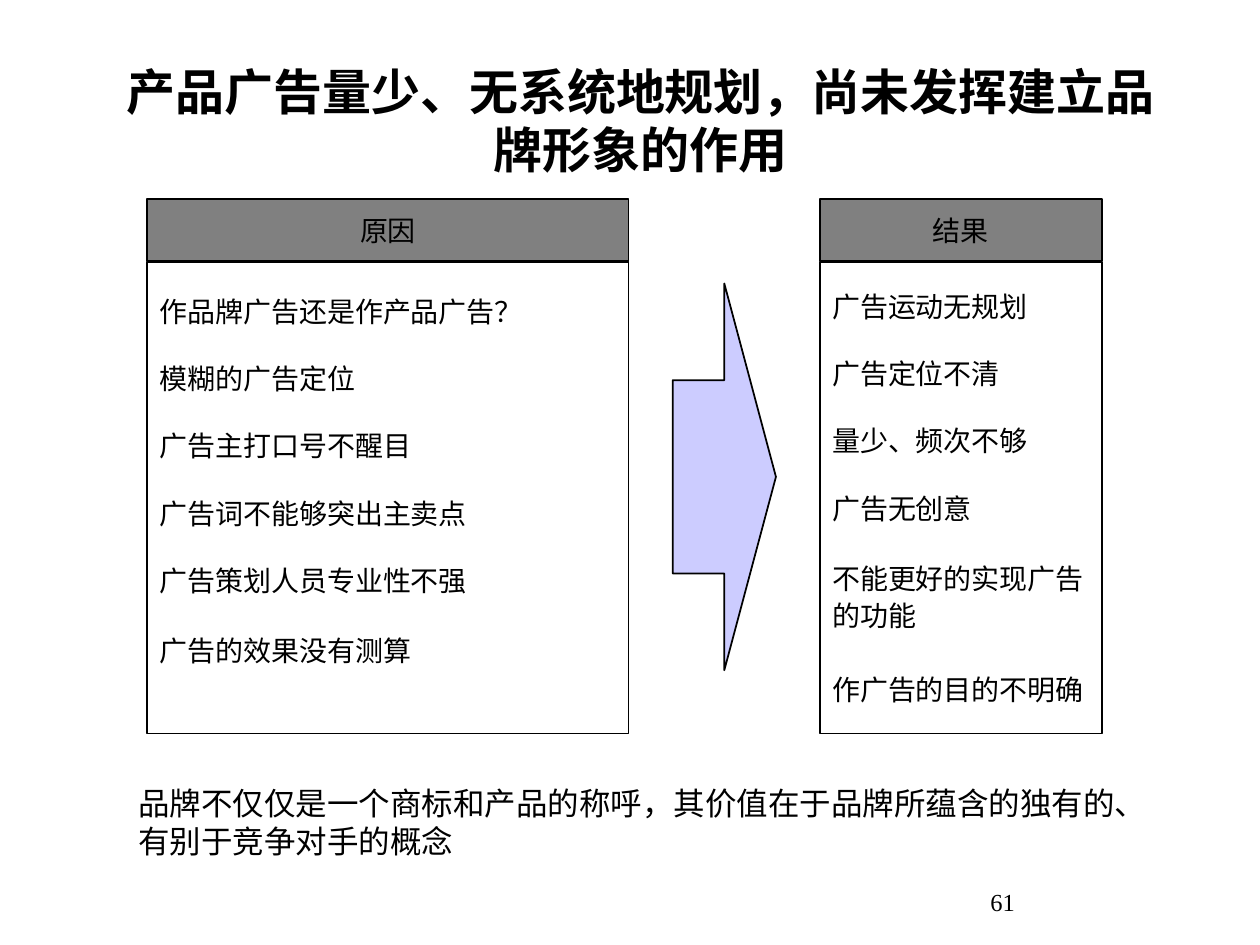
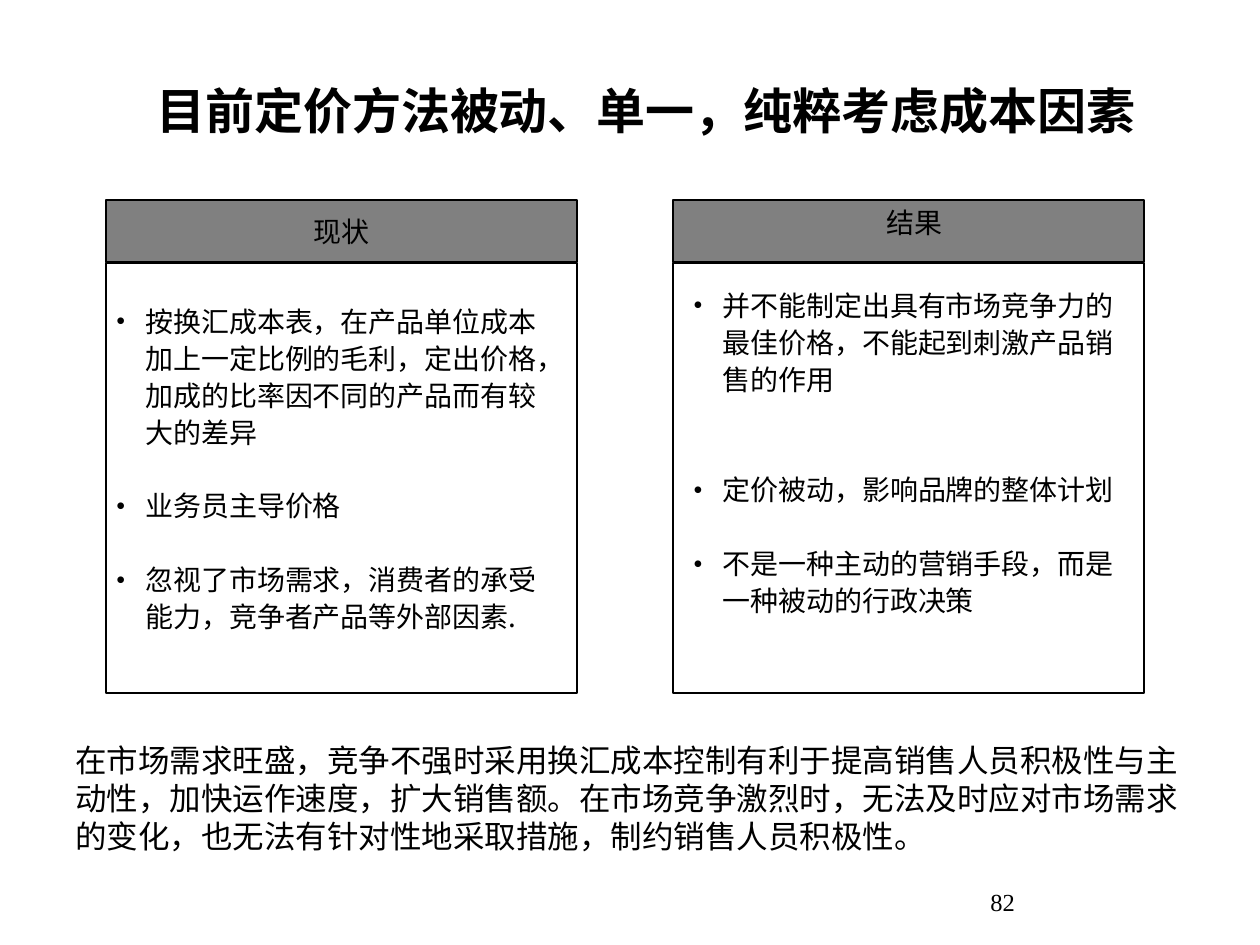
from lxml import etree
from pptx import Presentation
from pptx.dml.color import RGBColor
from pptx.enum.shapes import MSO_SHAPE as Shape
from pptx.enum.text import MSO_ANCHOR as Anchor, MSO_AUTO_SIZE as AutoSize, PP_ALIGN as Align
from pptx.oxml.ns import qn
from pptx.util import Pt

BLACK = RGBColor(0x00, 0x00, 0x00)
WHITE = RGBColor(0xFF, 0xFF, 0xFF)
GRAY = RGBColor(0x80, 0x80, 0x80)
LAVENDER = RGBColor(0xCC, 0xCC, 0xFF)

CHINESE_FONT = "Noto Sans CJK SC"
LATIN_FONT = "Times New Roman"
TITLE_SIZE, SUMMARY_SIZE, LIST_SIZE, NUMBER_SIZE = 28, 18, 16, 14

# Line pitches in points
TITLE_LINE, SUMMARY_LINE, SINGLE, LOOSE = 33.1, 21.7, 19.2, 21.1
HEADER_HEIGHT, HEADER_GAP = 35.3, 0.7
BULLET_INDENT = 17
NUMBER_BOX = (462, 504, 222, 18)

# Content: boxes are (left, top, width, height); items are (text, line pitch, gap before)
ADVERTISING = {
    "title": ("产品广告量少、无系统地规划，尚未发挥建立品牌形象的作用", (60, 24, 612, 90)),
    "top": 113.8,
    "panel_height": 269.3,
    "columns": [
        {"header": "原因", "left": 84.2, "width": 275, "space_below": SINGLE, "items": [
            ("作品牌广告还是作产品广告？", SINGLE, 0),
            ("模糊的广告定位", SINGLE, SINGLE),
            ("广告主打口号不醒目", SINGLE, SINGLE),
            ("广告词不能够突出主卖点", SINGLE, SINGLE),
            ("广告策划人员专业性不强", SINGLE, SINGLE),
            ("广告的效果没有测算", LOOSE, SINGLE)]},
        {"header": "结果", "left": 468.4, "width": 161.2, "space_below": 0, "items": [
            ("广告运动无规划", SINGLE, 0),
            ("广告定位不清", SINGLE, SINGLE),
            ("量少、频次不够", SINGLE, SINGLE),
            ("广告无创意", SINGLE, SINGLE),
            ("不能更好的实现广告的功能", LOOSE, SINGLE),
            ("作广告的目的不明确", LOOSE, LOOSE)]},
    ],
    "arrow": (384.4, 162, 59, 221),
    "summary": ("品牌不仅仅是一个商标和产品的称呼，其价值在于品牌所蕴含的独有的、有别于竞争对手的概念",
                (72, 444.2, 606, 50.4)),
    "number": "61",
}
PRICING = {
    "title": ("目前定价方法被动、单一，纯粹考虑成本因素", (36, 42, 666, 42)),
    "top": 114.5,
    "panel_height": 245.5,
    "columns": [
        {"header": "现状", "left": 60.5, "width": 269.3,
         "list_box": (59, 168.5, 259.2, 220), "items": [
             ("按换汇成本表，在产品单位成本加上一定比例的毛利，定出价格，加成的比率因不同的产品而有较大的差异", LOOSE, 0),
             ("业务员主导价格", LOOSE, LOOSE),
             ("忽视了市场需求，消费者的承受能力，竞争者产品等外部因素.", LOOSE, LOOSE)]},
        {"header": "结果", "left": 384.5, "width": 269.3,
         "header_box": (499.2, 113.8, 47, 26.6),
         "list_box": (388.8, 159.3, 258.5, 199), "items": [
             ("并不能制定出具有市场竞争力的最佳价格，不能起到刺激产品销售的作用", LOOSE, 0),
             ("定价被动，影响品牌的整体计划", LOOSE, 2 * LOOSE),
             ("不是一种主动的营销手段，而是一种被动的行政决策", LOOSE, LOOSE)]},
    ],
    "summary": ("在市场需求旺盛，竞争不强时采用换汇成本控制有利于提高销售人员积极性与主动性，加快运作速度，"
                "扩大销售额。在市场竞争激烈时，无法及时应对市场需求的变化，也无法有针对性地采取措施，"
                "制约销售人员积极性。", (36, 419.8, 653.8, 72)),
    "number": "82",
}


def place(shape, box):
    shape.left, shape.top, shape.width, shape.height = [Pt(value) for value in box]


def paint(shape, color):
    shape.fill.solid()
    shape.fill.fore_color.rgb = color
    shape.line.color.rgb = BLACK
    shape.line.width = Pt(1)


def format_paragraph(paragraph, size, pitch, gap=0, align=Align.LEFT, font=CHINESE_FONT, bold=False):
    paragraph.alignment = align
    paragraph.line_spacing = Pt(pitch)
    paragraph.space_before = Pt(gap)
    paragraph.space_after = Pt(0)
    for run in paragraph.runs:
        run.font.size, run.font.bold, run.font.name = Pt(size), bold, font
        run.font.color.rgb = BLACK
        etree.SubElement(run._r.get_or_add_rPr(), qn("a:ea"), typeface=CHINESE_FONT)


def set_frame(shape, anchor, wrap=True):
    frame = shape.text_frame
    frame.auto_size = AutoSize.NONE
    frame.word_wrap = wrap
    frame.vertical_anchor = anchor
    frame.margin_left = frame.margin_right = Pt(7.2)
    frame.margin_top = frame.margin_bottom = Pt(3.6)
    return frame


def write(shape, text, size, pitch, anchor=Anchor.TOP, wrap=True, **style):
    frame = set_frame(shape, anchor, wrap)
    frame.text = text
    format_paragraph(frame.paragraphs[0], size, pitch, **style)


def add_box(slide, kind, box, color):
    shape = slide.shapes.add_shape(kind, *[Pt(value) for value in box])
    shape.shadow.inherit = False
    paint(shape, color)
    return shape


def add_text(slide, box, text, size, pitch, **style):
    shape = slide.shapes.add_textbox(*[Pt(value) for value in box])
    write(shape, text, size, pitch, **style)


def fill_list(placeholder, items, bulleted, space_below=0):
    frame = set_frame(placeholder, Anchor.TOP if bulleted else Anchor.MIDDLE)
    frame.margin_bottom = Pt(3.6 + space_below)
    frame.text = "\n".join(text for text, _, _ in items)
    indent = Pt(BULLET_INDENT) if bulleted else 0
    for paragraph, (_, pitch, gap) in zip(frame.paragraphs, items):
        properties = paragraph._p.get_or_add_pPr()
        properties.set("marL", str(indent))
        properties.set("indent", str(-indent))
        if bulleted:
            etree.SubElement(properties, qn("a:buFont"), typeface=LATIN_FONT)
            etree.SubElement(properties, qn("a:buChar"), char="•")
        else:
            etree.SubElement(properties, qn("a:buNone"))
        format_paragraph(paragraph, LIST_SIZE, pitch, gap)


def add_column(slide, column, placeholder, top, panel_height):
    left, width = column["left"], column["width"]
    header = add_box(slide, Shape.RECTANGLE, (left, top, width, HEADER_HEIGHT), GRAY)
    heading = dict(text=column["header"], size=LIST_SIZE, pitch=SINGLE, wrap=False, align=Align.CENTER)
    if "header_box" in column:
        add_text(slide, column["header_box"], **heading)
    else:
        write(header, anchor=Anchor.MIDDLE, **heading)

    panel_box = (left, top + HEADER_HEIGHT + HEADER_GAP, width, panel_height)
    if "list_box" in column:
        # The list lies in front of its own panel
        add_box(slide, Shape.RECTANGLE, panel_box, WHITE)
        place(placeholder, column["list_box"])
        placeholder._element.getparent().append(placeholder._element)
        fill_list(placeholder, column["items"], bulleted=True)
    else:
        # The list is the panel
        place(placeholder, panel_box)
        paint(placeholder, WHITE)
        fill_list(placeholder, column["items"], False, column["space_below"])


def add_comparison_slide(presentation, content):
    slide = presentation.slides.add_slide(presentation.slide_layouts.get_by_name("Two Content"))

    # Title
    text, box = content["title"]
    place(slide.shapes.title, box)
    write(slide.shapes.title, text, TITLE_SIZE, TITLE_LINE, anchor=Anchor.MIDDLE,
          align=Align.CENTER, bold=True)

    # Columns and the arrow between them
    for index, column in enumerate(content["columns"], start=1):
        add_column(slide, column, slide.placeholders[index], content["top"], content["panel_height"])
    if "arrow" in content:
        add_box(slide, Shape.RIGHT_ARROW, content["arrow"], LAVENDER)

    # Summary and page number
    text, box = content["summary"]
    add_text(slide, box, text, SUMMARY_SIZE, SUMMARY_LINE, font=LATIN_FONT)
    add_text(slide, NUMBER_BOX, content["number"], NUMBER_SIZE, 16.1,
             align=Align.CENTER, font=LATIN_FONT)


def main():
    presentation = Presentation()
    presentation.slide_width, presentation.slide_height = Pt(720), Pt(540)
    for content in (ADVERTISING, PRICING):
        add_comparison_slide(presentation, content)
    presentation.save("out.pptx")


if __name__ == "__main__":
    main()
